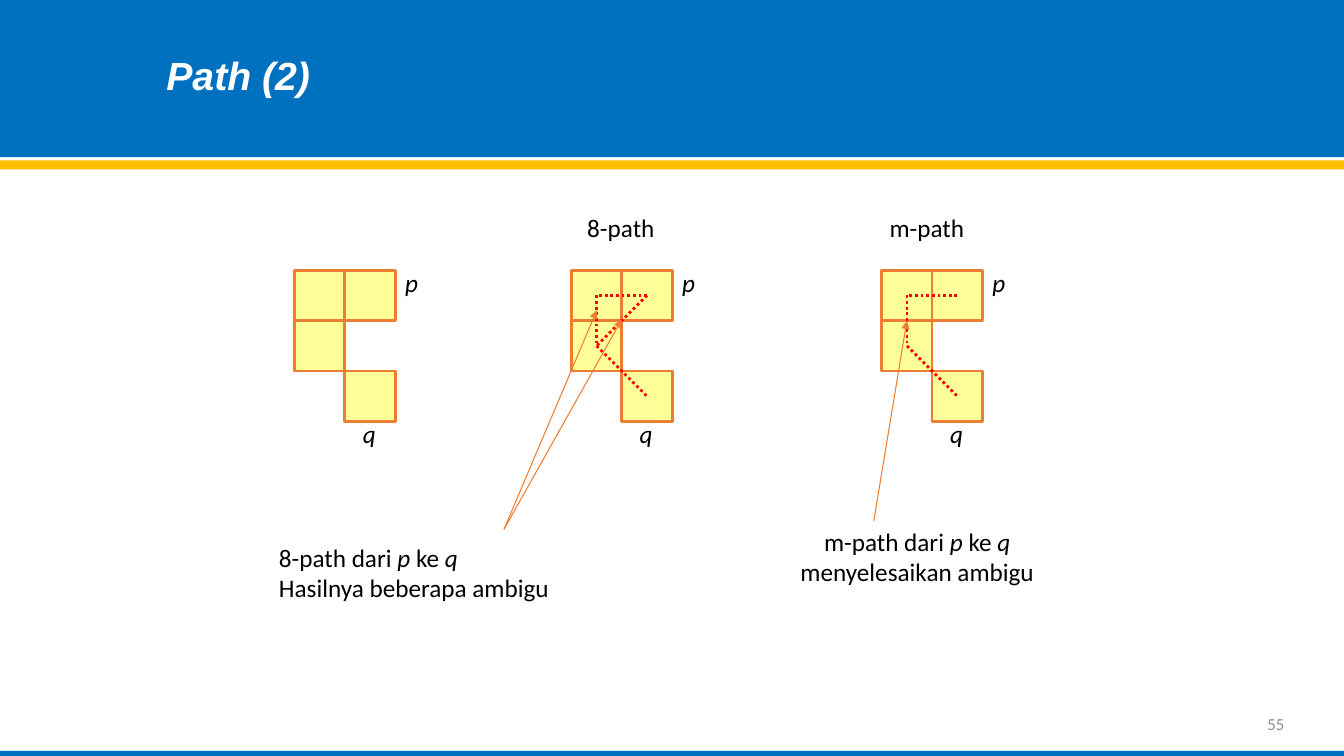
from dataclasses import dataclass
from lxml.etree import SubElement
from pptx import Presentation
from pptx.dml.color import RGBColor
from pptx.enum.dml import MSO_LINE
from pptx.enum.shapes import MSO_CONNECTOR, MSO_SHAPE
from pptx.enum.text import MSO_ANCHOR, PP_ALIGN
from pptx.oxml.ns import qn
from pptx.util import Cm, Pt


@dataclass(frozen=True)
class Theme:
    blue: str = "0070C0"
    gold: str = "FFC000"
    cell: str = "FFFF99"
    edge: str = "ED7D31"
    trail: str = "FF0000"
    ink: str = "000000"
    white: str = "FFFFFF"
    grey: str = "8C8C8C"
    head: str = "Arial"
    body: str = "Calibri"
    big: int = 28
    mid: int = 18
    small: int = 12


T = Theme()
WIDE, HIGH, SIDE, TOP = 33.87, 19.05, 1.27, 6.81
BANDS = [(0, 3.96, T.blue), (4.04, 0.23, T.gold), (18.92, 0.13, T.blue)]
CELLS = [(0, 0), (1, 0), (0, 1), (1, 2)]
P, A, B, Q = CELLS[1], CELLS[0], CELLS[2], CELLS[3]
GRIDS = [
    (7.42, []),
    (14.4, [(P, A), (A, B), (B, Q), (P, B)]),
    (22.22, [(P, A), (A, B), (B, Q)]),
]
MARKS = [("p", 2, -0.16), ("q", 1.16, 2.84)]
ROUTE = [("p ", True), ("ke ", False), ("q", True)]
NOTES = [
    (14.55, 5.23, 2.24, 1.02, PP_ALIGN.LEFT, [[("8-path", False)]]),
    (22.17, 5.23, 2.41, 1.02, PP_ALIGN.LEFT, [[("m-path", False)]]),
    (6.78, 13.54, 7.39, 1.8, PP_ALIGN.LEFT,
     [[("8-path dari ", False)] + ROUTE, [("Hasilnya beberapa ambigu", False)]]),
    (19.89, 13.13, 6.45, 1.8, PP_ALIGN.CENTER,
     [[("m-path dari ", False)] + ROUTE, [("menyelesaikan ambigu", False)]]),
]
ARROWS = [(12.7, 13.34, 15.67, 8.05), (12.7, 13.34, 15.04, 7.82)]
FIX = (22.02, 13.13)


def rgb(code):
    """Turn a hex code into a colour."""
    return RGBColor.from_string(code)


def write(frame, lines, size, tone, font, align=PP_ALIGN.LEFT, bold=False):
    """Fill a text frame run by run."""
    for i, line in enumerate(lines):
        para = frame.paragraphs[0] if i == 0 else frame.add_paragraph()
        para.alignment = align
        for words, slant in line:
            run = para.add_run()
            run.text = words
            face = run.font
            face.name, face.size = font, Pt(size)
            face.bold, face.italic = bold, slant
            face.color.rgb = rgb(tone)


def label(shapes, box, lines, align=PP_ALIGN.LEFT):
    """Add an unwrapped body text."""
    frame = shapes.add_textbox(*map(Cm, box)).text_frame
    frame.word_wrap = False
    write(frame, lines, T.mid, T.ink, T.body, align)


def block(shapes, box, fill, edge=None):
    """Add a flat rectangle."""
    rect = shapes.add_shape(MSO_SHAPE.RECTANGLE, *map(Cm, box))
    rect.shadow.inherit = False
    rect.fill.solid()
    rect.fill.fore_color.rgb = rgb(fill)
    if edge:
        rect.line.color.rgb = rgb(edge)
        rect.line.width = Pt(2)
    else:
        rect.line.fill.background()
    return rect


def link(shapes, ends, tone, width):
    """Add a flat straight connector."""
    line = shapes.add_connector(MSO_CONNECTOR.STRAIGHT, *map(Cm, ends))
    line.line.color.rgb = rgb(tone)
    line.line.width = Pt(width)
    SubElement(line.element.spPr, qn("a:effectLst"))
    return line


def arrow(shapes, ends):
    """Add a thin connector with a triangle at its end."""
    line = link(shapes, ends, T.edge, 0.75)
    stroke = line.element.spPr.find(qn("a:ln"))
    SubElement(stroke, qn("a:tailEnd"), type="triangle")
    return line


def grid(shapes, left):
    """Add the four cells with p and q, and return the cells by place."""
    group = shapes.add_group_shape().shapes
    cells = {}
    for col, row in CELLS:
        box = (left + col * SIDE, TOP + row * SIDE, SIDE, SIDE)
        cells[col, row] = block(group, box, T.cell, T.edge)
    for name, col, row in MARKS:
        box = (left + col * SIDE, TOP + row * SIDE, 0.84, 1.02)
        label(group, box, [[(name, True)]])
    return cells


def main():
    """Build the slide."""
    deck = Presentation()
    deck.slide_width, deck.slide_height = Cm(WIDE), Cm(HIGH)
    slide = deck.slides.add_slide(deck.slide_layouts[5])
    shapes, title = slide.shapes, slide.shapes.title

    for top, tall, tone in BANDS:
        band = block(shapes, (0, top, WIDE, tall), tone)
        title.element.addprevious(band.element)
    title.left, title.top, title.width, title.height = map(
        Cm, (3.94, 1.17, 4.17, 1.45))
    title.text_frame.word_wrap = False
    title.text_frame.vertical_anchor = MSO_ANCHOR.TOP
    write(title.text_frame, [[("Path (2)", True)]], T.big, T.white, T.head,
          bold=True)

    sets = [grid(shapes, left) for left, _ in GRIDS]
    for left, trail in GRIDS:
        for pair in trail:
            ends = [start + (place + 0.5) * SIDE for spot in pair
                    for start, place in zip((left, TOP), spot)]
            dots = link(shapes, ends, T.trail, 2)
            dots.line.dash_style = MSO_LINE.ROUND_DOT

    for *box, align, lines in NOTES:
        label(shapes, box, lines, align)
    for ends in ARROWS:
        arrow(shapes, ends)
    arrow(shapes, FIX + FIX).end_connect(sets[2][A], 2)

    number = shapes.add_textbox(*map(Cm, (25, 17.73, 7.62, 1.02))).text_frame
    number.word_wrap = True
    number.vertical_anchor = MSO_ANCHOR.MIDDLE
    write(number, [[("55", False)]], T.small, T.grey, T.body, PP_ALIGN.RIGHT)
    deck.save("out.pptx")


if __name__ == "__main__":
    main()
